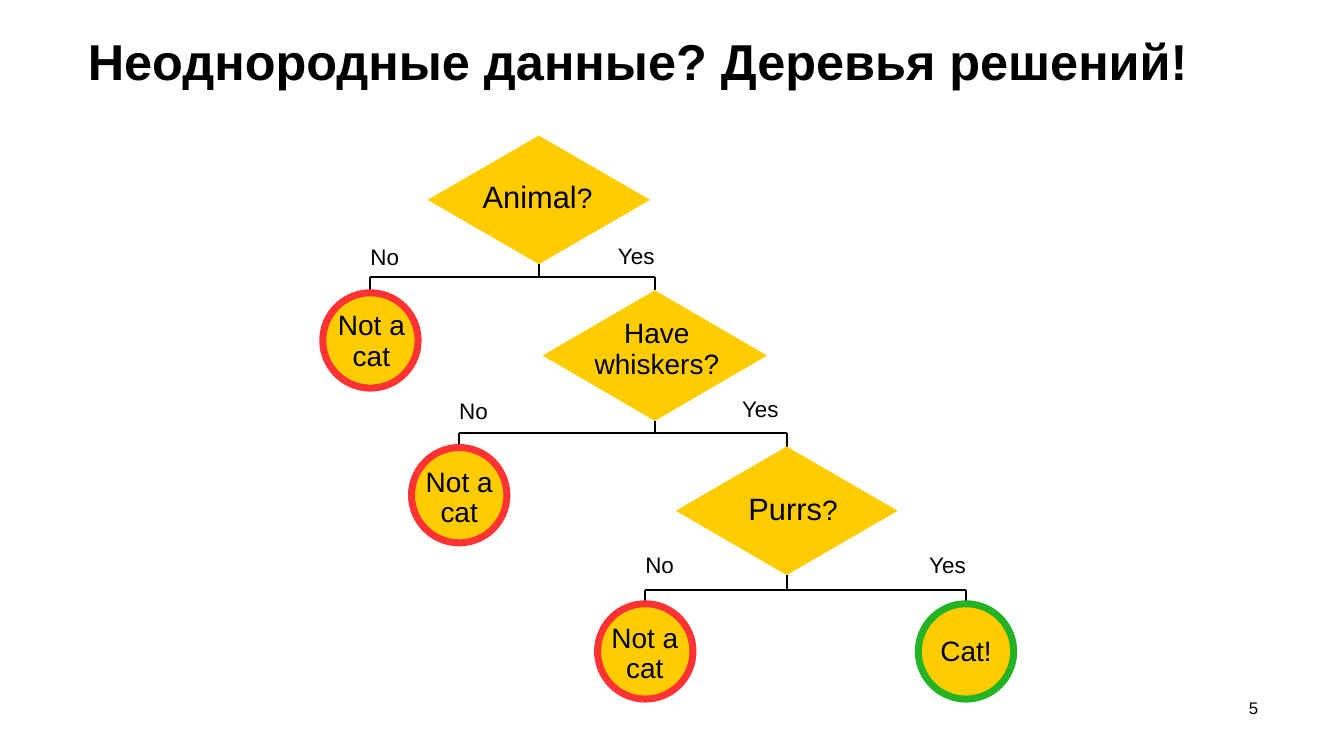
"""Build a slide with a decision tree that tells cats from everything else."""
import pptx
import pptx.dml.color
import pptx.enum.shapes
import pptx.enum.text
import pptx.util
from pptx.util import Inches

BLACK = pptx.dml.color.RGBColor(0x00, 0x00, 0x00)
YELLOW = pptx.dml.color.RGBColor(0xFF, 0xCC, 0x00)
RED = pptx.dml.color.RGBColor(0xFF, 0x33, 0x33)
GREEN = pptx.dml.color.RGBColor(0x23, 0xB3, 0x24)
ALIGN = pptx.enum.text.PP_ALIGN
ANCHOR = pptx.enum.text.MSO_ANCHOR
AUTO_SIZE = pptx.enum.text.MSO_AUTO_SIZE
SHAPE = pptx.enum.shapes.MSO_SHAPE
DIAMETER = 1.89
STUB = 0.3

presentation = pptx.Presentation()
presentation.slide_width = Inches(26.65)
presentation.slide_height = Inches(15)
slide = presentation.slides.add_slide(presentation.slide_layouts[5])


def write(shape, *parts, align=ALIGN.LEFT, anchor=ANCHOR.TOP, margin=0, wrap=False,
          bold=False, line_spacing=1.0, space_before=0, auto_size=AUTO_SIZE.SHAPE_TO_FIT_TEXT):
    frame = shape.text_frame
    frame.margin_left = frame.margin_right = Inches(margin)
    frame.margin_top = frame.margin_bottom = Inches(margin)
    frame.word_wrap = wrap
    frame.auto_size = auto_size
    frame.vertical_anchor = anchor
    paragraph = frame.paragraphs[0]
    paragraph.alignment = align
    paragraph.line_spacing = line_spacing
    paragraph.space_before = pptx.util.Pt(space_before)
    for text, size in parts:
        run = paragraph.add_run()
        run.text = text
        run.font.name = "Arial"
        run.font.size = pptx.util.Pt(size)
        run.font.bold = bold
        run.font.color.rgb = BLACK


def add_line_behind(left, top, right, bottom):
    line = slide.shapes.add_connector(
        pptx.enum.shapes.MSO_CONNECTOR.STRAIGHT,
        Inches(left), Inches(top), Inches(right), Inches(bottom))
    line.line.color.rgb = BLACK
    line.line.width = pptx.util.Pt(3)
    properties = line._element.spPr
    properties.append(properties.makeelement(pptx.oxml.ns.qn("a:effectLst"), {}))
    slide.shapes._spTree.insert(2, line._element)
    return line


title = slide.shapes.title
title.left, title.top = Inches(1.74), Inches(0.6)
title.width, title.height = Inches(23.22), Inches(1.59)
write(title, ("Неоднородные данные? Деревья решений!", 72), bold=True, wrap=True,
      space_before=9, auto_size=AUTO_SIZE.NONE)

nodes = {}
for name, kind, box, outline, text_box, parts in [
    ("animal", SHAPE.DIAMOND, (8.48, 2.69, 4.41, 2.55), None,
     (9.01, 3.47, 3.3, 0.92), [("Animal", 44), ("?", 40)]),
    ("not animal", SHAPE.OVAL, (6.4, 5.81, DIAMETER, DIAMETER), RED,
     (6.35, 6.08, 2.03, 1.41), [("Not a cat", 40)]),
    ("whiskers", SHAPE.DIAMOND, (10.76, 5.76, 4.45, 2.59), None,
     (11.61, 6.24, 2.83, 1.41), [("Have whiskers?", 40)]),
    ("no whiskers", SHAPE.OVAL, (8.16, 8.88, DIAMETER, DIAMETER), RED,
     (8.09, 9.18, 2.03, 1.41), [("Not a cat", 40)]),
    ("purrs", SHAPE.DIAMOND, (13.4, 8.86, 4.4, 2.55), None,
     (14.31, 9.67, 2.83, 0.92), [("Purrs", 44), ("?", 40)]),
    ("no purring", SHAPE.OVAL, (11.85, 11.98, DIAMETER, DIAMETER), RED,
     (11.77, 12.28, 2.03, 1.41), [("Not a cat", 40)]),
    ("cat", SHAPE.OVAL, (18.21, 11.98, DIAMETER, DIAMETER), GREEN,
     (18.21, 12.52, DIAMETER, 0.85), [("Cat!", 40)]),
]:
    shape = slide.shapes.add_shape(kind, *map(Inches, box))
    shape.shadow.inherit = False
    shape.fill.solid()
    shape.fill.fore_color.rgb = YELLOW
    if outline is None:
        shape.line.fill.background()
    else:
        shape.line.color.rgb = outline
        shape.line.width = pptx.util.Pt(10)
    nodes[name] = shape
    caption = slide.shapes.add_textbox(*map(Inches, text_box))
    write(caption, *parts, align=ALIGN.CENTER, anchor=ANCHOR.MIDDLE, margin=0.12, wrap=True,
          line_spacing=0.9, space_before=18 if len(parts) == 2 else 16)

for question, no_node, yes_node, bar_top, no_top, yes_left, yes_top in [
    ("animal", "not animal", "whiskers", 5.49, 4.82, 12.24, 4.8),
    ("whiskers", "no whiskers", "purrs", 8.59, 7.88, 14.7, 7.84),
    ("purrs", "no purring", "cat", 11.7, 10.94, 18.41, 10.94),
]:
    middle, left, right = [
        (nodes[name].left + nodes[name].width / 2) / Inches(1)
        for name in (question, no_node, yes_node)]
    stem = add_line_behind(middle, bar_top - STUB, middle, bar_top)
    stem.begin_connect(nodes[question], 2)
    add_line_behind(left, bar_top, right, bar_top)
    for name, center in ((no_node, left), (yes_node, right)):
        branch = add_line_behind(center, bar_top, center, bar_top + STUB)
        branch.end_connect(nodes[name], 0)
    no_label = slide.shapes.add_textbox(Inches(left), Inches(no_top), Inches(0.58), Inches(0.5))
    write(no_label, ("No", 32))
    yes_label = slide.shapes.add_textbox(
        Inches(yes_left), Inches(yes_top), Inches(0.74), Inches(0.5))
    write(yes_label, ("Yes", 32), align=ALIGN.RIGHT)

slide_number = slide.shapes.add_textbox(Inches(24.75), Inches(13.86), Inches(0.2), Inches(0.38))
write(slide_number, ("5", 24), align=ALIGN.RIGHT, anchor=ANCHOR.MIDDLE)

presentation.save("out.pptx")
